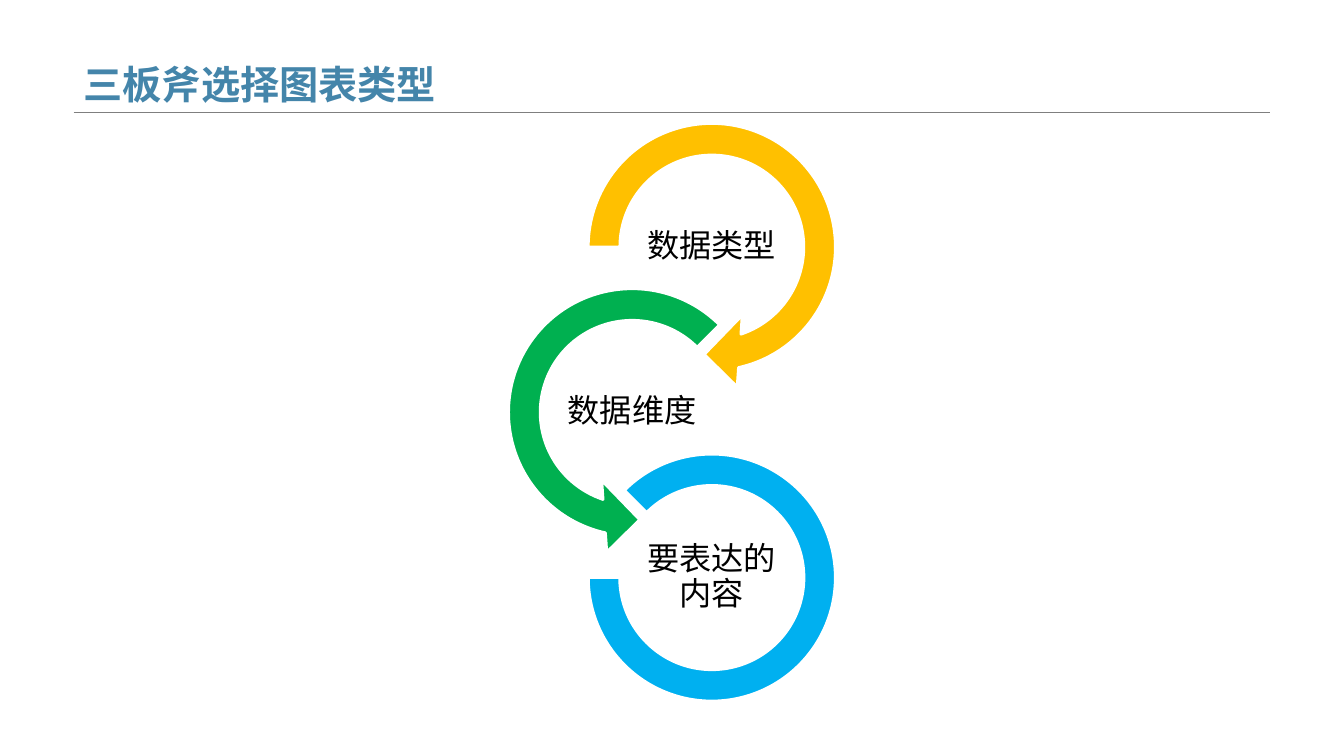
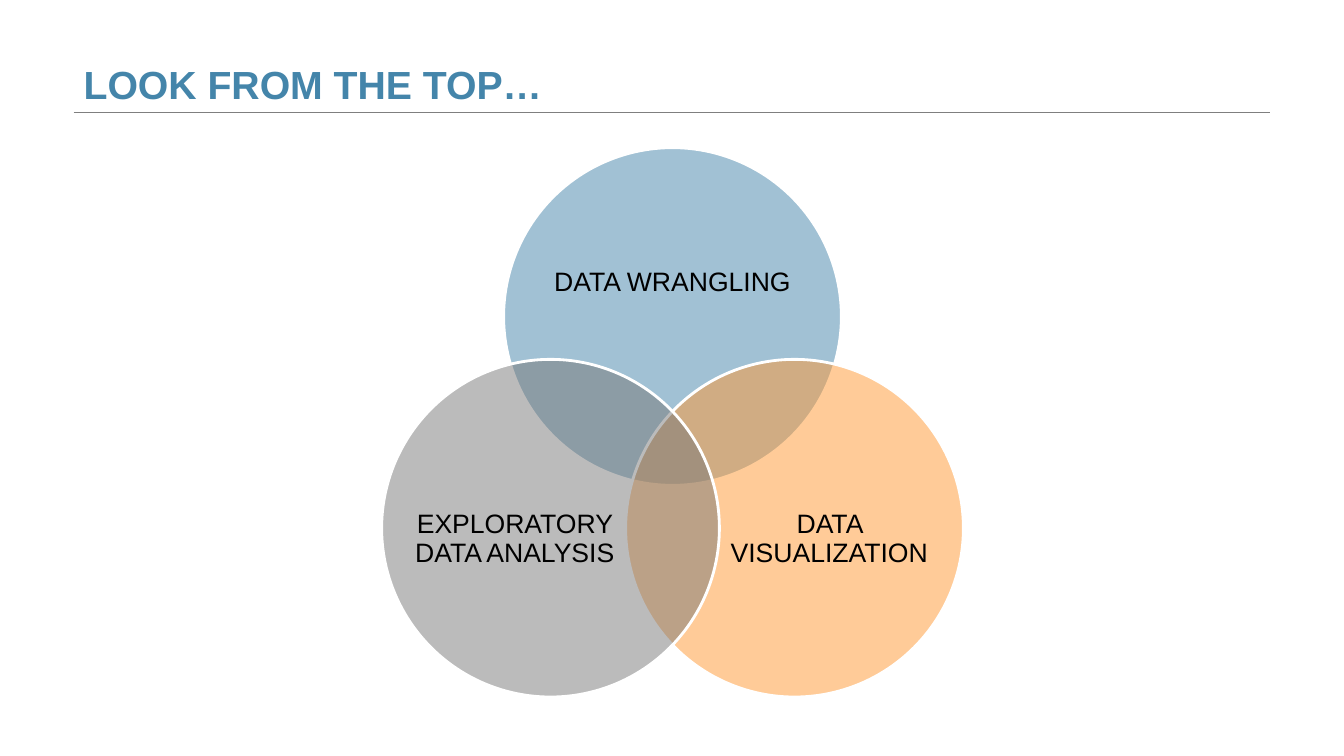
from lxml import etree
from pptx import Presentation
from pptx.dml.color import RGBColor
from pptx.enum.shapes import MSO_CONNECTOR, MSO_SHAPE
from pptx.enum.text import MSO_ANCHOR, MSO_AUTO_SIZE, PP_ALIGN
from pptx.oxml.ns import qn
from pptx.util import Inches, Pt

ELLIPSE = MSO_SHAPE.OVAL
MIDDLE = MSO_ANCHOR.MIDDLE
CENTER = PP_ALIGN.CENTER

BLUE = RGBColor(0x44, 0x85, 0xAA)
ORANGE = RGBColor(0xFF, 0x99, 0x33)
DARK_GRAY = RGBColor(0x78, 0x78, 0x78)
RULE_GRAY = RGBColor(0x7F, 0x7F, 0x7F)
AMBER = RGBColor(0xFF, 0xC0, 0x00)
GREEN = RGBColor(0x00, 0xB0, 0x50)
SKY = RGBColor(0x00, 0xB0, 0xF0)
WHITE = RGBColor(0xFF, 0xFF, 0xFF)
BLACK = RGBColor(0x00, 0x00, 0x00)
FONT = "Arial"


def add_round_shape(page, kind, center_x, center_y, size, color):
    shape = page.shapes.add_shape(
        kind, Inches(center_x - size / 2), Inches(center_y - size / 2),
        Inches(size), Inches(size))
    shape.shadow.inherit = False
    shape.fill.solid()
    shape.fill.fore_color.rgb = color
    shape.line.color.rgb = WHITE
    shape.line.width = Pt(2)
    return shape


def add_label(page, text, left, top, width, height, size, inset):
    box = page.shapes.add_textbox(
        Inches(left), Inches(top), Inches(width), Inches(height))
    frame = box.text_frame
    frame.word_wrap = True
    frame.vertical_anchor = MIDDLE
    frame.margin_left = frame.margin_right = Inches(inset)
    frame.margin_top = frame.margin_bottom = Inches(inset)
    para = frame.paragraphs[0]
    para.text = text
    para.alignment = CENTER
    para.line_spacing = 0.9
    para.font.name = FONT
    para.font.size = Pt(size)
    para.font.color.rgb = BLACK


deck = Presentation()
deck.slide_width = Inches(13.33)
deck.slide_height = Inches(7.5)
layout = deck.slide_layouts[5]

# Titles
pages = []
for title_text in ("三板斧选择图表类型", "LOOK FROM THE TOP…"):
    page = deck.slides.add_slide(layout)
    title = page.shapes.title
    title.left, title.top = Inches(0.73), Inches(0)
    title.width, title.height = Inches(11.87), Inches(1.12)
    title.text_frame.vertical_anchor = MSO_ANCHOR.BOTTOM
    title.text_frame.auto_size = MSO_AUTO_SIZE.NONE
    para = title.text_frame.paragraphs[0]
    para.text = title_text
    para.alignment = PP_ALIGN.LEFT
    para.line_spacing = 1.5
    para.font.name = FONT
    para.font.size = Pt(28)
    para.font.bold = True
    para.font.color.rgb = BLUE
    pages.append(page)
steps_page, venn_page = pages

# The rule under the title belongs to the layout, so both slides share it
rule = steps_page.shapes.add_connector(
    MSO_CONNECTOR.STRAIGHT, Inches(0.73), Inches(1.12), Inches(12.6), Inches(1.12))
rule.line.color.rgb = RULE_GRAY
rule.line.width = Pt(0.75)
etree.SubElement(rule.element.spPr, qn("a:effectLst"))
layout.shapes.element.append(rule.element)

# Three steps, alternating right and left on the way down
STEP = 1.64
LABEL_WIDTH, LABEL_HEIGHT = 1.58, 0.79
steps = [
    ("数据类型", MSO_SHAPE.CIRCULAR_ARROW, 7.06, 2.85, AMBER,
     (0.11, 11.423, 45, 108, 0.125)),
    ("数据维度", MSO_SHAPE.LEFT_CIRCULAR_ARROW, 6.27, 2.85, GREEN,
     (0.11, 11.423, 63, 189, 0.125)),
    ("要表达的内容", MSO_SHAPE.BLOCK_ARC, 7.06, 2.45, SKY, (135, 108, 0.127)),
]
for index, (text, kind, center_x, size, color, adjustments) in enumerate(steps):
    center_y = 2.45 + index * STEP
    ring = add_round_shape(steps_page, kind, center_x, center_y, size, color)
    for number, value in enumerate(adjustments):
        ring.adjustments[number] = value
    add_label(steps_page, text, center_x - LABEL_WIDTH / 2,
              center_y - LABEL_HEIGHT / 2, LABEL_WIDTH, LABEL_HEIGHT, 23, 0.02)

# Venn diagram of three half-transparent circles
DIAMETER = 3.35
circles = [
    ("DATA WRANGLING", 6.67, 3.14, BLUE, (5.44, 2.05, 2.46, 1.51)),
    ("DATA VISUALIZATION", 7.88, 5.24, ORANGE, (7.22, 4.43, 2.01, 1.84)),
    ("EXPLORATORY DATA ANALYSIS", 5.46, 5.24, DARK_GRAY, (4.1, 4.43, 2.01, 1.84)),
]
for text, center_x, center_y, color, label_area in circles:
    circle = add_round_shape(venn_page, ELLIPSE, center_x, center_y, DIAMETER, color)
    fill_color = circle.element.spPr.find(qn("a:solidFill")).find(qn("a:srgbClr"))
    etree.SubElement(fill_color, qn("a:alpha"), val="50000")
    add_label(venn_page, text, *label_area, 19, 0)

deck.save("out.pptx")
